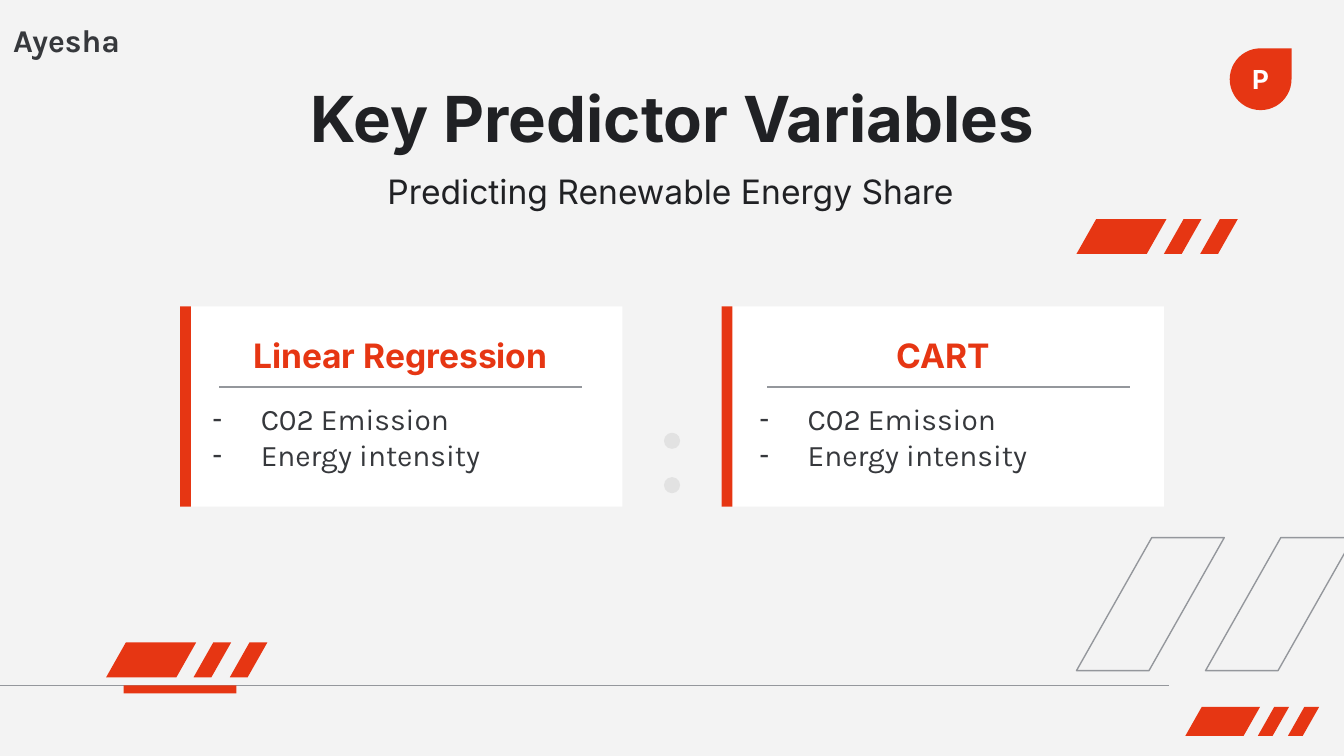
from pptx import Presentation
from pptx import util as u
from pptx.dml.color import RGBColor
from pptx.enum import shapes, text
from pptx.oxml import ns, xmlchemy

RED, WHITE, GREY, PALE = "E63613", "FFFFFF", "94979C", "E2E2E2"
INK, BODY, BACKGROUND = "202124", "36383C", "F3F3F3"
SHAPE = shapes.MSO_SHAPE
MIDDLE, TOP = text.MSO_ANCHOR.MIDDLE, text.MSO_ANCHOR.TOP
CENTER, LEFT = text.PP_ALIGN.CENTER, text.PP_ALIGN.LEFT

TITLE = "Key Predictor Variables"
SUBTITLE = "Predicting Renewable Energy Share"
PRESENTER = "Ayesha"
BADGE = "P"
CARDS = [
    {"heading": "Linear Regression", "items": ["C02 Emission", "Energy intensity"],
     "left": 1.34, "heading_left": 1.61, "list_left": 1.34, "rule_left": 1.63},
    {"heading": "CART", "items": ["C02 Emission", "Energy intensity"],
     "left": 5.37, "heading_left": 5.65, "list_left": 5.41, "rule_left": 5.71},
]
STRIPE_GROUPS = [(8.82, 5.26, 0.83), (0.79, 4.78, 1), (8.01, 1.63, 1)]
STRIPES = [(0, 0.67), (0.65, 0.28), (0.92, 0.28)]
OUTLINE_LEFTS = [8.01, 8.97]
DOT_TOPS = [3.22, 3.55]
SLANT = 0.566

TITLE_FONT = {"name": "Inter", "size": 34, "bold": True, "color": INK}
SUBTITLE_FONT = {"name": "Inter", "size": 18, "bold": False, "color": INK}
HEADING_FONT = {"name": "Inter", "size": 18, "bold": True, "color": RED}
LIST_FONT = {"name": "Karla", "size": 16, "bold": False, "color": BODY}
PRESENTER_FONT = {"name": "Karla", "size": 17, "bold": True, "color": BODY}
BADGE_FONT = {"name": "Inter", "size": 14, "bold": True, "color": WHITE}


def paint(color_format, value):
    color_format.rgb = RGBColor.from_string(value)


def place(shape, box):
    for name, value in zip(("left", "top", "width", "height"), box):
        setattr(shape, name, u.Inches(value))


def add_bullet(paragraph):
    properties = paragraph._p.get_or_add_pPr()
    properties.set("marL", str(u.Inches(0.5)))
    properties.set("indent", str(u.Inches(-0.36)))
    color = xmlchemy.OxmlElement("a:buClr")
    shade = xmlchemy.OxmlElement("a:srgbClr")
    shade.set("val", BODY)
    color.append(shade)
    mark = xmlchemy.OxmlElement("a:buChar")
    mark.set("char", "-")
    properties.extend([color, mark])


def remove_bullet(paragraph):
    properties = paragraph._p.get_or_add_pPr()
    properties.set("marL", "0")
    properties.set("indent", "0")
    properties.append(xmlchemy.OxmlElement("a:buNone"))


def write(shape, lines, font, align=CENTER, anchor=MIDDLE, bullets=False):
    frame = shape.text_frame
    settings = {"word_wrap": True, "auto_size": text.MSO_AUTO_SIZE.NONE, "vertical_anchor": anchor}
    for side in ("left", "top", "right", "bottom"):
        settings["margin_" + side] = u.Inches(0.1)
    for name, value in settings.items():
        setattr(frame, name, value)
    frame.text = "\n".join(lines)
    for paragraph in frame.paragraphs:
        (add_bullet if bullets else remove_bullet)(paragraph)
        for name, value in {"alignment": align, "space_before": u.Pt(0), "line_spacing": 1.0}.items():
            setattr(paragraph, name, value)
        for name, value in font.items():
            if name == "color":
                paint(paragraph.font.color, value)
            else:
                setattr(paragraph.font, name, u.Pt(value) if name == "size" else value)


def fill_placeholder(placeholder, box, *content, **options):
    place(placeholder, box)
    write(placeholder, *content, **options)
    placeholder.element.getparent().append(placeholder.element)


def add_text(slide, box, *content, **options):
    write(slide.shapes.add_textbox(*map(u.Inches, box)), *content, **options)


def add_figure(slide, kind, box, fill=None, line=None, adjustment=None):
    shape = slide.shapes.add_shape(kind, *map(u.Inches, box))
    shape.shadow.inherit = False
    if adjustment is not None:
        shape.adjustments[0] = adjustment
    for target, value in ((shape.fill, fill), (shape.line.fill, line)):
        if value:
            target.solid()
            paint(target.fore_color, value)
        else:
            target.background()
    if line:
        shape.line.width = u.Pt(0.75)
    return shape


def add_rule(slide, start, end, top):
    points = map(u.Inches, (start, top, end, top))
    rule = slide.shapes.add_connector(shapes.MSO_CONNECTOR.STRAIGHT, *points)
    paint(rule.line.color, GREY)
    rule.line.width = u.Pt(0.75)
    rule.element.find(ns.qn("p:spPr")).append(xmlchemy.OxmlElement("a:effectLst"))


def add_card(slide, card, heading, items):
    add_figure(slide, SHAPE.RECTANGLE, (card["left"], 2.28, 3.29, 1.49), WHITE)
    add_figure(slide, SHAPE.RECTANGLE, (card["left"], 2.28, 0.08, 1.49), RED)
    add_rule(slide, card["rule_left"], card["rule_left"] + 2.7, 2.88)
    fill_placeholder(heading, (card["heading_left"], 2.41, 2.74, 0.46), [card["heading"]], HEADING_FONT)
    fill_placeholder(items, (card["list_left"], 2.88, 3.02, 0.81), card["items"], LIST_FONT,
                     align=LEFT, anchor=TOP, bullets=True)


def main():
    presentation = Presentation()
    presentation.slide_width = u.Inches(10)
    presentation.slide_height = u.Inches(10 * 9 / 16)
    slide = presentation.slides.add_slide(presentation.slide_layouts.get_by_name("Comparison"))
    slide.background.fill.solid()
    paint(slide.background.fill.fore_color, BACKGROUND)
    title, *parts = slide.placeholders

    add_rule(slide, -0.03, 8.7, 5.1)
    add_figure(slide, SHAPE.RECTANGLE, (0.92, 5.1, 0.84, 0.06), RED)
    badge = add_figure(slide, SHAPE.TEAR, (9.15, 0.36, 0.46, 0.46), RED, adjustment=1)
    write(badge, [BADGE], BADGE_FONT)

    for card, heading, items in zip(CARDS, parts[::2], parts[1::2]):
        add_card(slide, card, heading, items)
    for top in DOT_TOPS:
        add_figure(slide, SHAPE.OVAL, (4.94, top, 0.12, 0.12), PALE)
    for left, top, scale in STRIPE_GROUPS:
        for offset, width in STRIPES:
            box = (left + offset * scale, top, width * scale, 0.26 * scale)
            add_figure(slide, SHAPE.PARALLELOGRAM, box, RED, adjustment=SLANT)
    for left in OUTLINE_LEFTS:
        add_figure(slide, SHAPE.PARALLELOGRAM, (left, 4, 1.1, 0.99), line=GREY, adjustment=SLANT)

    fill_placeholder(title, (0.79, 0.49, 8.43, 0.63), [TITLE], TITLE_FONT, anchor=TOP)
    add_text(slide, (2.78, 1.17, 4.42, 0.5), [SUBTITLE], SUBTITLE_FONT, anchor=TOP)
    add_text(slide, (0, 0.06, 1.14, 0.47), [PRESENTER], PRESENTER_FONT, align=LEFT)
    presentation.save("out.pptx")


if __name__ == "__main__":
    main()
